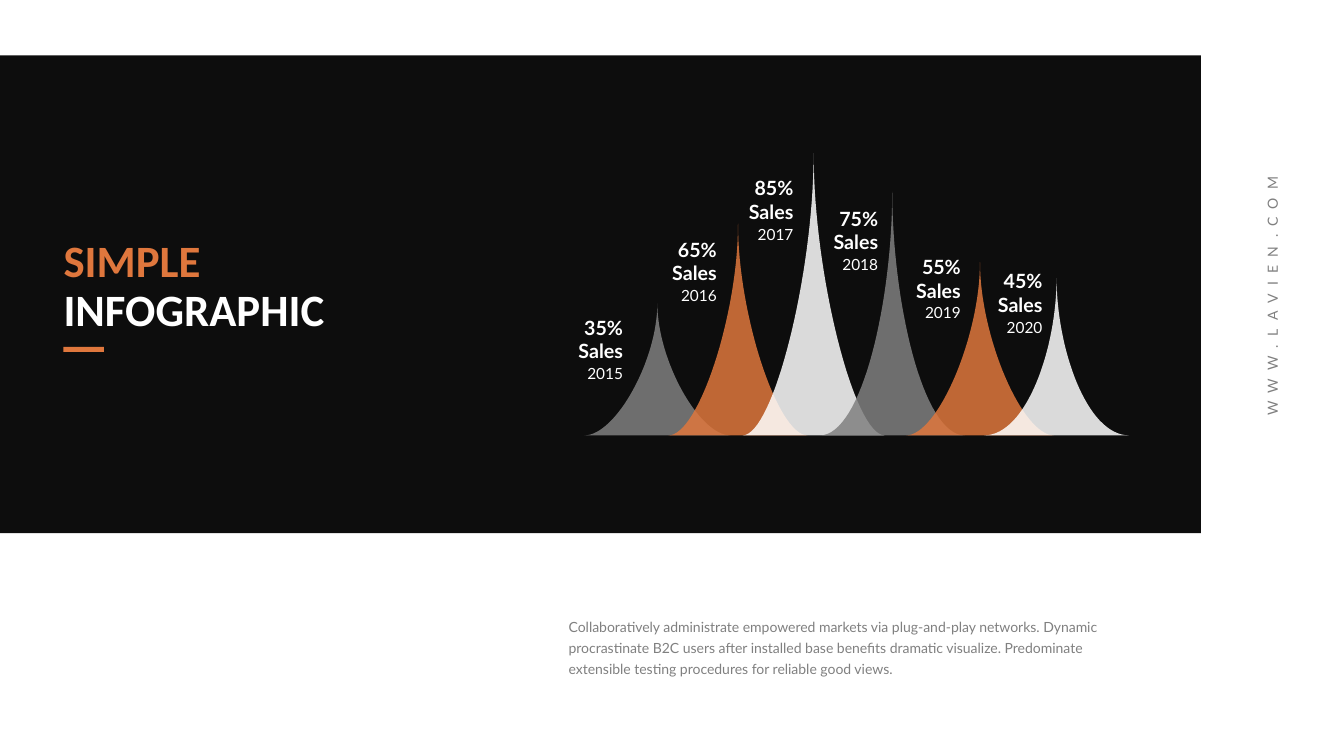
from lxml import etree
from pptx import Presentation
from pptx.dml.color import RGBColor
from pptx.enum import shapes, text
from pptx.oxml import ns
from pptx.util import Inches, Pt

BLACK = RGBColor(0x0D, 0x0D, 0x0D)
GRAY = RGBColor(0x80, 0x80, 0x80)
ORANGE = RGBColor(0xDF, 0x77, 0x3D)
WHITE = RGBColor(0xFF, 0xFF, 0xFF)

# Curve pulls at the base and at the tip of a peak's flank
FULL = (0.57, 0.57)
SLIM = (0.41, 0.56)
CURVE_STEPS = 32
PEAK_OPACITY = 85

# share, year, centre x, height, half width, flank, colour, label x, label y
# (x and y are measured from the top left of the chart box)
PEAKS = [
    ("35%", "2015", 0.88, 1.31, 0.725, FULL, GRAY, 0, 1.61),
    ("65%", "2016", 1.68, 2.1, 0.69, FULL, ORANGE, 0.93, 0.84),
    ("85%", "2017", 2.43, 2.8, 0.705, FULL, WHITE, 1.69, 0.23),
    ("75%", "2018", 3.21, 2.42, 0.72, SLIM, GRAY, 2.53, 0.53),
    ("55%", "2019", 4.08, 1.72, 0.735, FULL, ORANGE, 3.35, 1.01),
    ("45%", "2020", 4.84, 1.56, 0.72, SLIM, WHITE, 4.16, 1.15),
]


def paint(shape, color):
    shape.fill.solid()
    shape.fill.fore_color.rgb = color
    shape.line.fill.background()
    shape.shadow.inherit = False


def add_bar(parent, left, top, width, height, color):
    bar = parent.add_shape(shapes.MSO_SHAPE.RECTANGLE, Inches(left), Inches(top),
                           Inches(width), Inches(height))
    paint(bar, color)


def write(frame, lines, size, colors, font="Lato", bold=False, spacing=None,
          align=text.PP_ALIGN.LEFT):
    frame.word_wrap = True
    frame.margin_left = frame.margin_right = 0
    frame.margin_top = frame.margin_bottom = 0
    for index, (line, color) in enumerate(zip(lines, colors)):
        paragraph = frame.paragraphs[0] if index == 0 else frame.add_paragraph()
        paragraph.text = line
        paragraph.alignment = align
        if spacing:
            paragraph.line_spacing = Pt(spacing)
        paragraph.font.name = font
        paragraph.font.size = Pt(size)
        paragraph.font.bold = bold
        paragraph.font.color.rgb = color


def add_label(parent, left, top, width, height, lines, size, color, **style):
    label = parent.add_textbox(Inches(left), Inches(top), Inches(width), Inches(height))
    write(label.text_frame, lines, size, [color] * len(lines), **style)
    return label


def add_peak(parent, center, base, height, half, flank, color):
    base_pull, tip_pull = flank
    right_side = []
    for step in range(CURVE_STEPS + 1):
        t = step / CURVE_STEPS
        out = 3 * (1 - t) * t**2 * base_pull + t**3
        up = (1 - t)**3 + 3 * (1 - t)**2 * t * tip_pull
        right_side.append((out * half, base - up * height))
    left_side = [(center - x, y) for x, y in reversed(right_side)]
    outline = left_side + [(center + x, y) for x, y in right_side[1:]]
    points = [(Inches(x), Inches(y)) for x, y in outline]
    builder = parent.build_freeform(*points[0])
    builder.add_line_segments(points[1:], close=True)
    peak = builder.convert_to_shape()
    paint(peak, color)
    fill_color = peak.element.spPr.find(".//" + ns.qn("a:srgbClr"))
    etree.SubElement(fill_color, ns.qn("a:alpha"), val=str(PEAK_OPACITY * 1000))


def add_sales_chart(slide, left, top, height):
    chart = slide.shapes.add_group_shape().shapes
    for _, _, center, rise, half, flank, color, _, _ in PEAKS:
        add_peak(chart, left + center, top + height, rise, half, flank, color)
    for share, year, *_, x, y in PEAKS:
        add_label(chart, left + x, top + y, 0.54, 0.47, [share, "Sales"], 14, WHITE,
                  bold=True, align=text.PP_ALIGN.RIGHT)
        add_label(chart, left + x, top + y + 0.47, 0.54, 0.18, [year], 11, WHITE,
                  spacing=14, align=text.PP_ALIGN.RIGHT)


def add_heading(slide, left, top, width, height):
    title = slide.shapes.title
    slide.shapes.element.append(title.element)  # bring in front of the band
    title.left, title.top = Inches(left), Inches(top)
    title.width, title.height = Inches(width), Inches(height)
    write(title.text_frame, ["SIMPLE", "INFOGRAPHIC"], 32, [ORANGE, WHITE],
          font="Calibri", bold=True, spacing=35)
    title.text_frame.vertical_anchor = text.MSO_ANCHOR.MIDDLE
    add_bar(slide.shapes, left, top + height + 0.11, 0.4, 0.05, ORANGE)


def add_web_address(slide, left, top, width, height):
    address = add_label(slide.shapes, left, top, width, height, ["WWW.LAVIEN.COM"], 10, GRAY)
    address.rotation = 270
    letters = address.text_frame.paragraphs[0].runs[0]
    letters.font._element.set("spc", "600")


def main():
    deck = Presentation()
    deck.slide_width, deck.slide_height = Inches(13.33), Inches(7.5)
    slide = deck.slides.add_slide(deck.slide_layouts[5])

    # Dark band with the chart
    add_bar(slide.shapes, 0, 0.55, 11.91, 4.74, BLACK)
    add_sales_chart(slide, 5.64, 1.52, 2.8)

    # Texts around it
    add_label(slide.shapes, 5.64, 6.09, 5.56, 0.61, [
        "Collaboratively administrate empowered markets via plug-and-play networks. "
        "Dynamic procrastinate B2C users after installed base benefits dramatic visualize. "
        "Predominate extensible testing procedures for reliable good views."],
        10, GRAY, spacing=15)
    add_web_address(slide, 11.38, 2.8, 2.48, 0.17)
    add_heading(slide, 0.63, 2.35, 3.2, 0.98)

    deck.save("out.pptx")


if __name__ == "__main__":
    main()
